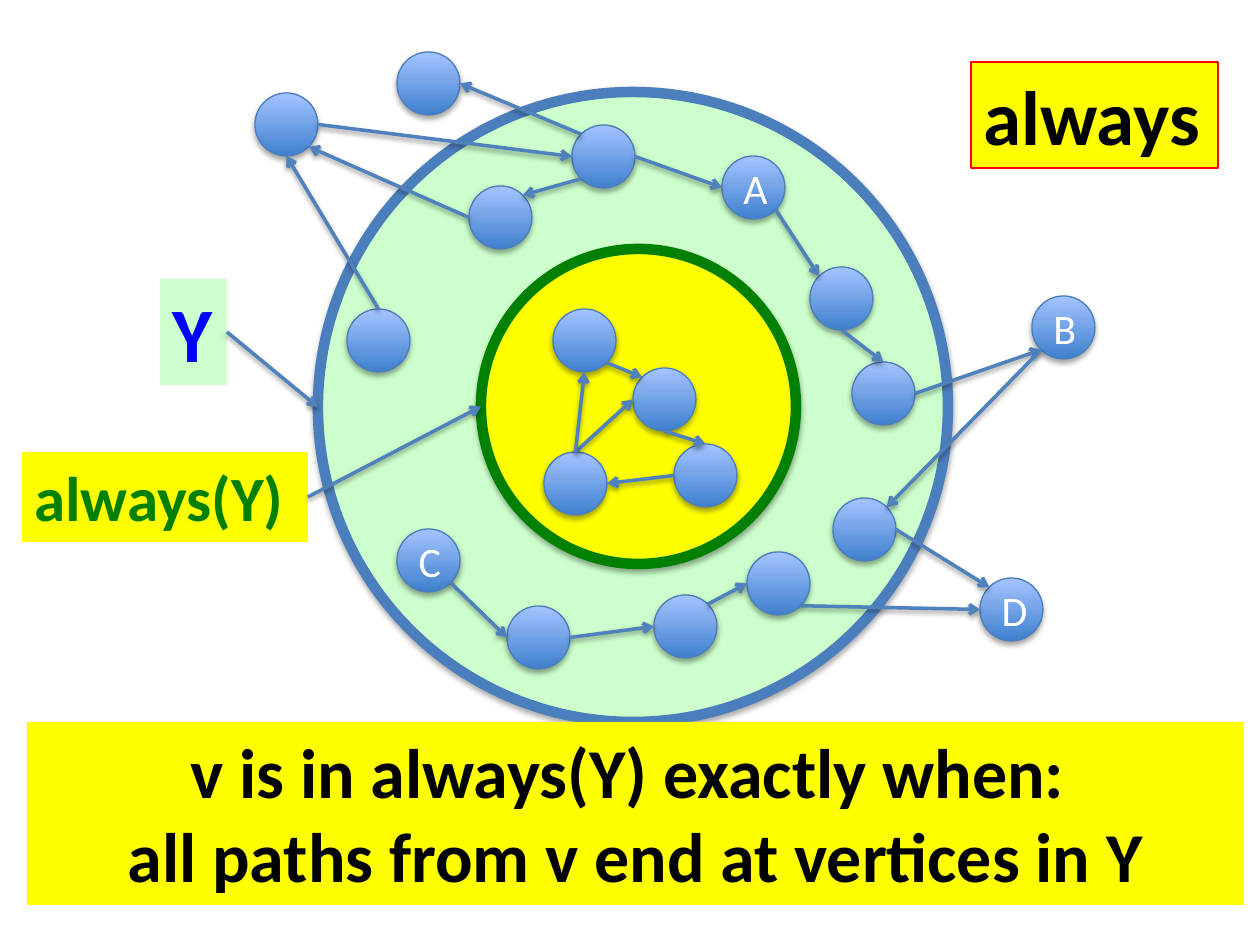
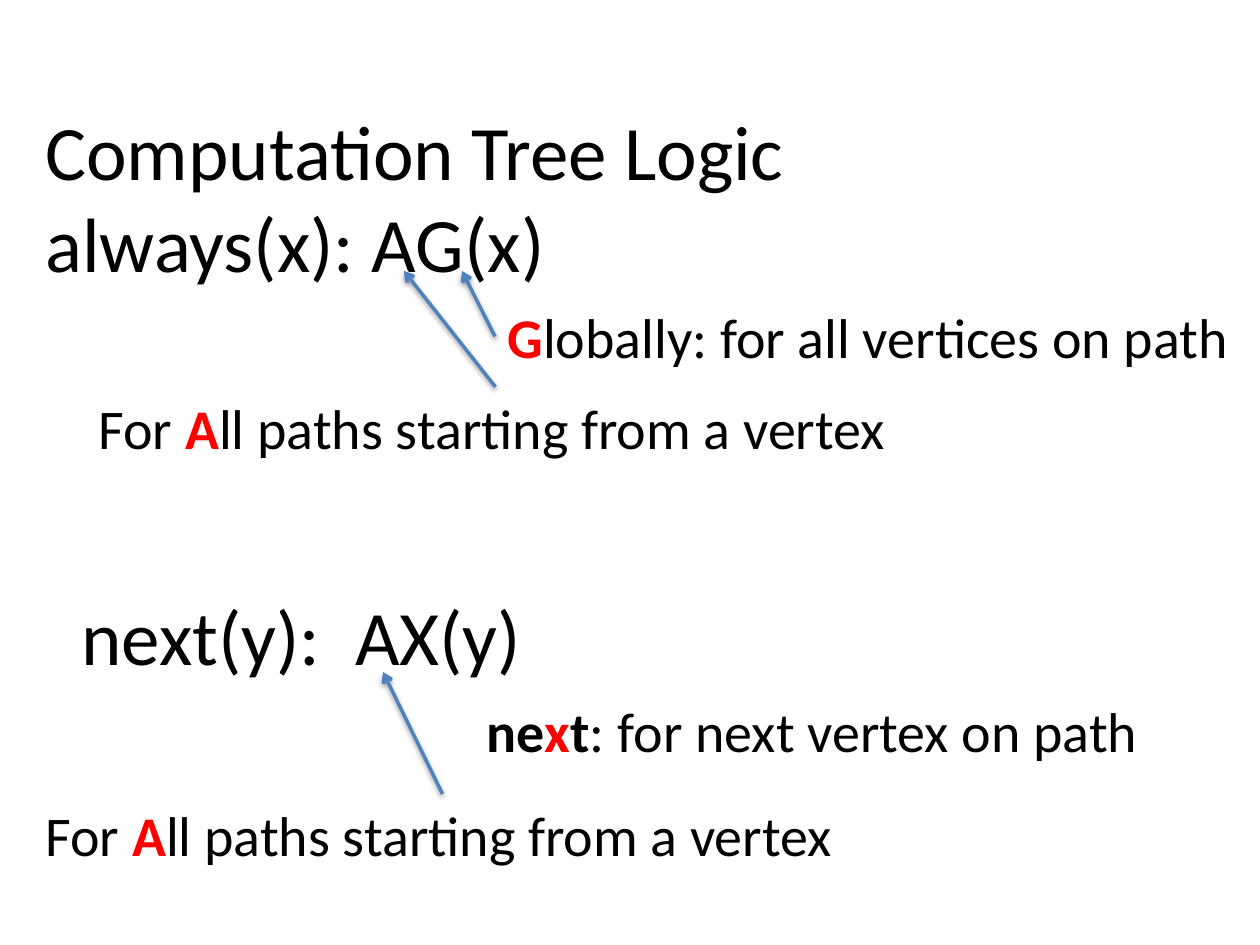
"""Build two slides on the always and next operators of Computation Tree Logic."""
from dataclasses import dataclass
from math import sqrt

from lxml.etree import SubElement
from pptx import Presentation
from pptx.dml.color import RGBColor
from pptx.enum.shapes import MSO_CONNECTOR as CXN, MSO_SHAPE as SHAPE
from pptx.enum.text import MSO_ANCHOR as ANCHOR, MSO_AUTO_SIZE as AUTO, PP_ALIGN as ALIGN
from pptx.oxml.ns import qn
from pptx.util import Emu, Pt


@dataclass(frozen=True)
class Theme:
    """Colours, font and type sizes shared by both slides."""
    font: str = "Calibri"
    black: str = "000000"
    white: str = "FFFFFF"
    red: str = "FF0000"
    blue: str = "0000FF"
    green: str = "008000"
    yellow: str = "FFFF00"
    mint: str = "CCFFCC"
    rim: str = "4B7EBC"
    arrow: str = "4F81BD"
    node_low: str = "3F80CE"
    node_high: str = "A4C4FF"
    big: int = 44
    banner: int = 40
    label: int = 36
    note: int = 32
    node: int = 24


T = Theme()
PX = 914400 // 126
NODE = 63
RIGHT = 3

REGIONS = {
    "Y": (318, 92, 630, T.mint, T.rim),
    "always(Y)": (481, 249, 315, T.yellow, T.green),
}
LABELS = {
    "Y": dict(box=(160, 279, 67, 106), size=T.big, fill=T.mint,
              paras=[[("Y", T.blue, True)]]),
    "always(Y)": dict(box=(22, 452, 286, 90), size=T.label, fill=T.yellow,
                      paras=[[("always(Y)", T.green, True)]]),
    "rule": dict(box=(27, 722, 1217, 183), size=T.banner, fill=T.yellow, align=ALIGN.CENTER,
                 paras=[[("v is in always(Y) exactly when: ", T.black, True)],
                        [("all paths from v end at vertices in Y", T.black, True)]]),
    "title": dict(box=(971, 62, 247, 106), size=T.big, fill=T.yellow, rim=T.red, wrap=False,
                  paras=[[("always", T.black, True)]]),
}
NODES = {
    "A": (722, 156), "B": (1032, 296), "C": (397, 529), "D": (980, 578),
    "hub": (572, 125), "back": (469, 186), "left": (347, 309),
    "out": (255, 93), "top": (397, 52),
    "right1": (810, 267), "right2": (852, 362), "exit": (833, 498),
    "low1": (507, 606), "low2": (654, 595), "low3": (747, 552),
    "in1": (553, 309), "in2": (633, 368), "in3": (674, 444), "in4": (544, 452),
}
EDGES = [
    ("A", "SE", "right1", "NW"), ("right1", "S", "right2", "N"), ("right2", "E", "B", "SW"),
    ("B", "SW", "exit", "NE"), ("exit", "E", "D", "NW"),
    ("C", "SE", "low1", "W"), ("low1", "E", "low2", "W"), ("low2", "NE", "low3", "W"),
    ("low3", "SE", "D", "W"),
    ("hub", "E", "A", "W"), ("hub", "NW", "top", "E"), ("hub", "SW", "back", "NE"),
    ("back", "W", "out", "SE"), ("out", "E", "hub", "W"), ("left", "N", "out", "S"),
    ("in1", "SE", "in2", "NW"), ("in2", "S", "in3", "N"), ("in3", "W", "in4", "E"),
    ("in4", "N", "in2", "W"), ("in4", "N", "in1", "S"),
]

ALL_PATHS = [[("For ", T.black, False), ("A", T.red, True),
              ("ll paths starting from a vertex", T.black, False)]]
FORMULAS = [
    dict(box=(33, 97, 1154, 199), size=T.big,
         paras=[[("Computation Tree Logic", T.black, False)],
                [("always(x): AG(x)", T.black, False)]]),
    dict(box=(69, 582, 471, 106), size=T.big, wrap=False,
         paras=[[("next(y):  AX(y)", T.black, False)]]),
]
NOTES = [
    dict(box=(86, 387, 819, 81), paras=ALL_PATHS, side=0, target=(404, 271)),
    dict(box=(495, 296, 756, 81), side=1, target=(462, 271),
         paras=[[("G", T.red, True), ("lobally: for all vertices on path", T.black, False)]]),
    dict(box=(33, 794, 819, 81), paras=ALL_PATHS, side=0, target=(383, 672)),
    dict(box=(474, 690, 687, 81), side=None, target=None,
         paras=[[("ne", T.black, True), ("x", T.red, True), ("t", T.black, True),
                 (": for next vertex on path", T.black, False)]]),
]


def rgb(color):
    """Return a colour object for a hex code."""
    return RGBColor.from_string(color)


def emu(*lengths):
    """Turn px lengths into EMU."""
    return [Emu(round(v * PX)) for v in lengths]


def set_line(s, color, width):
    """Give a shape or connector a plain line."""
    s.line.color.rgb = rgb(color)
    s.line.width = Pt(width)


def add_shadow(s, alpha, dist):
    """Add a soft shadow straight below, after the line is set."""
    effects = SubElement(s._element.spPr, qn("a:effectLst"))
    shadow = SubElement(effects, qn("a:outerShdw"), blurRad=str(Pt(3.1)), dist=str(Pt(dist)),
                        dir="5400000", rotWithShape="0")
    color = SubElement(shadow, qn("a:srgbClr"), val=T.black)
    SubElement(color, qn("a:alpha"), val=str(alpha * 1000))


def write(tf, paras, size, align=None):
    """Fill a text frame with paragraphs of (text, colour, bold) runs."""
    for i, runs in enumerate(paras):
        p = tf.paragraphs[0] if i == 0 else tf.add_paragraph()
        p.alignment = align
        for text, color, bold in runs:
            r = p.add_run()
            r.text = text
            r.font.name, r.font.size, r.font.bold = T.font, Pt(size), bold
            r.font.color.rgb = rgb(color)


def add_text(slide, box, paras, size, wrap=True, align=None, fill=None, rim=None):
    """Add a text box with an optional fill and outline."""
    s = slide.shapes.add_textbox(*emu(*box))
    tf = s.text_frame
    tf.word_wrap = wrap
    tf.auto_size = AUTO.SHAPE_TO_FIT_TEXT
    write(tf, paras, size, align)
    if fill:
        s.fill.solid()
        s.fill.fore_color.rgb = rgb(fill)
    if rim:
        set_line(s, rim, 0.75)
    return s


def add_circle(slide, x, y, size, rim, width):
    """Add an outlined circle with a shadow."""
    s = slide.shapes.add_shape(SHAPE.OVAL, *emu(x, y, size, size))
    set_line(s, rim, width)
    add_shadow(s, 35, 1.8)
    return s


def add_node(slide, name, x, y):
    """Add a graph vertex, lettered when its name is one letter."""
    s = add_circle(slide, x, y, NODE, T.rim, 0.75)
    s.fill.gradient()
    s.fill.gradient_angle = 90
    for stop, color in zip(s.fill.gradient_stops, (T.node_low, T.node_high)):
        stop.color.rgb = rgb(color)
    if len(name) == 1:
        s.text_frame.vertical_anchor = ANCHOR.MIDDLE
        write(s.text_frame, [[(name, T.white, False)]], T.node, ALIGN.CENTER)


def add_arrow(slide, start, end, source=None, side=None):
    """Add an arrow, joined to a side of its source box if one is given."""
    s = slide.shapes.add_connector(CXN.STRAIGHT, *emu(*start, *end))
    if source is not None:
        s.begin_connect(source, side)
    set_line(s, T.arrow, 2)
    SubElement(s._element.spPr.find(qn("a:ln")), qn("a:tailEnd"), type="arrow")
    add_shadow(s, 38, 1.6)


def rim_point(name, site):
    """Return the point on a vertex's rim in a compass direction."""
    dx = ("E" in site) - ("W" in site)
    dy = ("S" in site) - ("N" in site)
    reach = NODE / 2 / sqrt(dx * dx + dy * dy)
    x, y = NODES[name]
    return x + NODE / 2 + dx * reach, y + NODE / 2 + dy * reach


def build_always(slide):
    """Draw the graph that explains always."""
    for x, y, size, fill, rim in REGIONS.values():
        s = add_circle(slide, x, y, size, rim, 6)
        s.fill.solid()
        s.fill.fore_color.rgb = rgb(fill)
    boxes = {name: add_text(slide, **label) for name, label in LABELS.items()}
    for name, (x, y) in NODES.items():
        add_node(slide, name, x, y)
    for tail, tail_site, head, head_site in EDGES:
        add_arrow(slide, rim_point(tail, tail_site), rim_point(head, head_site))
    for name, (x, y, size, *_) in REGIONS.items():
        end = (x, y + size / 2)
        add_arrow(slide, end, end, boxes[name], RIGHT)


def build_logic(slide):
    """Write the formulas and the notes that point at their letters."""
    for formula in FORMULAS:
        add_text(slide, **formula)
    for note in NOTES:
        s = add_text(slide, note["box"], note["paras"], T.note, wrap=False)
        if note["target"]:
            add_arrow(slide, note["target"], note["target"], s, note["side"])


def main():
    """Build and save the deck."""
    prs = Presentation()
    prs.slide_width, prs.slide_height = emu(1260, 945)
    for build in (build_always, build_logic):
        build(prs.slides.add_slide(prs.slide_layouts[6]))
    prs.save("out.pptx")


if __name__ == "__main__":
    main()
